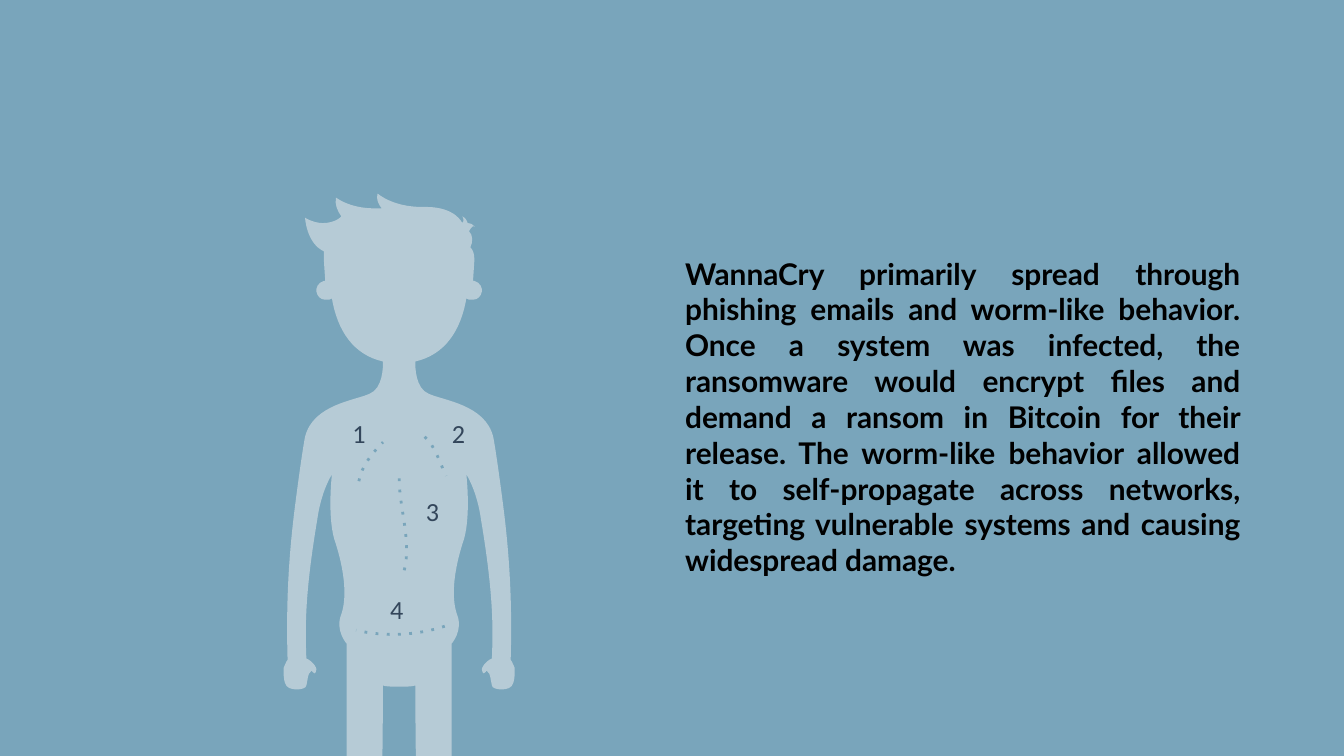
from dataclasses import dataclass

from lxml.etree import Element, SubElement
from pptx import Presentation
from pptx.dml.color import RGBColor
from pptx.enum.dml import MSO_LINE
from pptx.enum.text import MSO_AUTO_SIZE as AutoSize, PP_ALIGN as Align
from pptx.oxml.ns import qn
from pptx.util import Pt


@dataclass(frozen=True)
class Theme:
    background: str = "79A5BB"
    body_fill: str = "EEEEEE"
    body_opacity: int = 53
    label: str = "33465B"
    text: str = "000000"
    label_font: str = "Calibri"
    text_font: str = "Lato"
    label_size: int = 14
    text_size: int = 16
    dot_width: float = 1.5


GRID = 0.72  # points per unit of the outlines below
AXIS = 297  # the body is symmetrical about this x

# Each curve: first control point, second control point, end point.
HAIR_TIP = (281, 144)
HAIR_LEFT = [
    (281, 144, 279, 149, 284, 155), (284, 155, 282, 155, 278, 155),
    (272, 155, 260, 154, 250, 147), (249, 152, 251, 157, 254, 161),
    (254, 161, 250, 166, 240, 166), (237, 166, 232, 165, 227, 162),
    (227, 162, 228, 181, 241, 187), (241, 189, 241, 191, 241, 193),
]
BODY_LEFT = [
    # ear, jaw and neck
    (241, 195, 242, 208, 242, 209), (242, 209, 241, 209, 241, 209),
    (232, 212, 235, 223, 242, 223), (243, 223, 244, 223, 245, 223),
    (246, 223, 246, 222, 247, 222), (251, 246, 263, 264, 285, 269),
    (285, 273, 285, 289, 275, 293),
    # shoulder, arm and hand
    (264, 298, 233, 301, 227, 325), (225, 335, 221, 365, 220, 373),
    (214, 418, 213, 455, 214, 491), (213, 492, 212, 495, 211, 497),
    (211, 501, 211, 505, 212, 508), (213, 512, 217, 513, 221, 513),
    (224, 513, 228, 512, 228, 510), (229, 506, 229, 501, 231, 500),
    (231, 500, 231, 499, 232, 499), (232, 499, 233, 501, 234, 501),
    (234, 501, 234, 500, 235, 500), (237, 498, 233, 492, 228, 490),
    (227, 466, 227, 441, 236, 387), (239, 365, 247, 353, 247, 353),
    # trunk, leg and foot
    (247, 353, 243, 387, 250, 405), (255, 421, 259, 442, 254, 457),
    (249, 469, 258, 479, 258, 479), (258, 479, 258, 576, 258, 688),
    (258, 688, 254, 695, 248, 699), (241, 702, 232, 703, 230, 704),
    (228, 705, 223, 704, 223, 707), (223, 711, 227, 711, 228, 711),
    (231, 712, 235, 712, 239, 712), (239, 712, 240, 712, 241, 712),
    (251, 712, 255, 710, 264, 710), (274, 710, 273, 712, 280, 712),
    (287, 712, 287, 705, 287, 703), (287, 700, 283, 698, 283, 690),
    (283, 690, 285, 544, 285, 510), (285, 510, 286, 511, 297, 511),
]
HAIR_RIGHT = [
    (353, 189, 352, 186, 350, 184), (352, 180, 352, 175, 349, 172),
    (349, 172, 351, 168, 353, 168), (353, 168, 353, 168, 353, 169),
    (353, 169, 352, 166, 348, 166), (348, 166, 347, 162, 344, 161),
    (344, 161, 346, 164, 344, 166), (344, 166, 339, 154, 317, 154),
    (317, 154, 316, 154, 316, 154), (315, 154, 315, 154, 314, 154),
    (292, 154, 281, 144, 281, 144),
]
# Start, curve, and the width and height that the curve itself covers.
INCISIONS = [
    ((316, 325), (324, 332, 327, 344, 332, 354), (16, 29)),
    ((267, 358), (269, 347, 277, 337, 285, 329), (18, 29)),
    ((297, 356), (297, 380, 308, 407, 299, 430), (5, 74)),
    ((331, 466), (310, 473, 286, 474, 265, 469), (66, 6)),
]
INCISION_LABELS = [
    ("2", 235, 216.4),
    ("1", 181.7, 216.4),
    ("3", 221.1, 258.2),
    ("4", 201.9, 310.7),
]
EXPLANATION = (
    "WannaCry primarily spread through phishing emails and worm-like behavior. "
    "Once a system was infected, the ransomware would encrypt files and demand "
    "a ransom in Bitcoin for their release. The worm-like behavior allowed it to "
    "self-propagate across networks, targeting vulnerable systems and causing "
    "widespread damage."
)


def as_points(curves):
    return [curve[i:i + 2] for curve in curves for i in (0, 2, 4)]


def body_outline():
    hair = [HAIR_TIP] + as_points(HAIR_LEFT)
    left = as_points(BODY_LEFT)
    mirrored = [(2 * AXIS - x, y) for x, y in reversed([hair[-1]] + left)]
    return hair + left + mirrored[1:] + as_points(HAIR_RIGHT)


def bend(outline):
    """Join every three straight segments into one cubic curve."""
    lines = outline.findall(qn("a:lnTo"))
    for i in range(0, len(lines), 3):
        curve = Element(qn("a:cubicBezTo"))
        lines[i].addprevious(curve)
        for line in lines[i:i + 3]:
            curve.append(line[0])
            outline.remove(line)


class SlideBuilder:
    def __init__(self, slide, theme):
        self.slide = slide
        self.theme = theme

    def background(self):
        fill = self.slide.background.fill
        fill.solid()
        fill.fore_color.rgb = RGBColor.from_string(self.theme.background)

    def curved_shape(self, points, close, size=None):
        scaled = [(Pt(x * GRID), Pt(y * GRID)) for x, y in points]
        builder = self.slide.shapes.build_freeform(*scaled[0])
        builder.add_line_segments(scaled[1:], close=close)
        shape = builder.convert_to_shape()
        shape.shadow.inherit = False
        outline = shape.element.spPr.find(".//" + qn("a:path"))
        bend(outline)
        if size:
            shape.width, shape.height = (Pt(side * GRID) for side in size)
            outline.set("w", str(shape.width))
            outline.set("h", str(shape.height))
        return shape

    def silhouette(self, points):
        shape = self.curved_shape(points, close=True)
        shape.fill.solid()
        shape.fill.fore_color.rgb = RGBColor.from_string(self.theme.body_fill)
        shape.line.fill.background()
        color = shape.element.spPr.find(qn("a:solidFill")).find(qn("a:srgbClr"))
        SubElement(color, qn("a:alpha"), val=str(self.theme.body_opacity * 1000))

    def dotted_curve(self, points, size):
        shape = self.curved_shape(points, close=False, size=size)
        shape.fill.background()
        shape.line.color.rgb = RGBColor.from_string(self.theme.background)
        shape.line.width = Pt(self.theme.dot_width)
        shape.line.dash_style = MSO_LINE.ROUND_DOT
        shape.element.spPr.find(qn("a:ln")).find(qn("a:prstDash")).set("val", "dot")

    def text(self, words, left, top, width, height, font, size, color):
        box = self.slide.shapes.add_textbox(Pt(left), Pt(top), Pt(width), Pt(height))
        frame = box.text_frame
        frame.text = words
        frame.word_wrap = True
        style = frame.paragraphs[0].runs[0].font
        style.name = font
        style.size = Pt(size)
        style.color.rgb = RGBColor.from_string(color)
        return frame

    def label(self, words, left, top):
        theme = self.theme
        frame = self.text(words, left, top, 25.2, 24.5,
                          theme.label_font, theme.label_size, theme.label)
        frame.margin_left = frame.margin_right = Pt(7.2)
        frame.margin_top = frame.margin_bottom = Pt(7.2)

    def paragraph(self, words, left, top, width, height):
        theme = self.theme
        frame = self.text(words, left, top, width, height,
                          theme.text_font, theme.text_size, theme.text)
        frame.auto_size = AutoSize.SHAPE_TO_FIT_TEXT
        frame.paragraphs[0].alignment = Align.JUSTIFY
        frame.paragraphs[0].runs[0].font.bold = True


def main():
    deck = Presentation()
    deck.slide_width, deck.slide_height = Pt(720), Pt(405)
    builder = SlideBuilder(deck.slides.add_slide(deck.slide_layouts[6]), Theme())

    builder.background()
    builder.silhouette(body_outline())
    for start, curve, size in INCISIONS:
        builder.dotted_curve([start] + as_points([curve]), size)
    for number, left, top in INCISION_LABELS:
        builder.label(number, left, top)
    builder.paragraph(EXPLANATION, 360, 133.2, 311.8, 200.9)

    deck.save("out.pptx")


if __name__ == "__main__":
    main()
